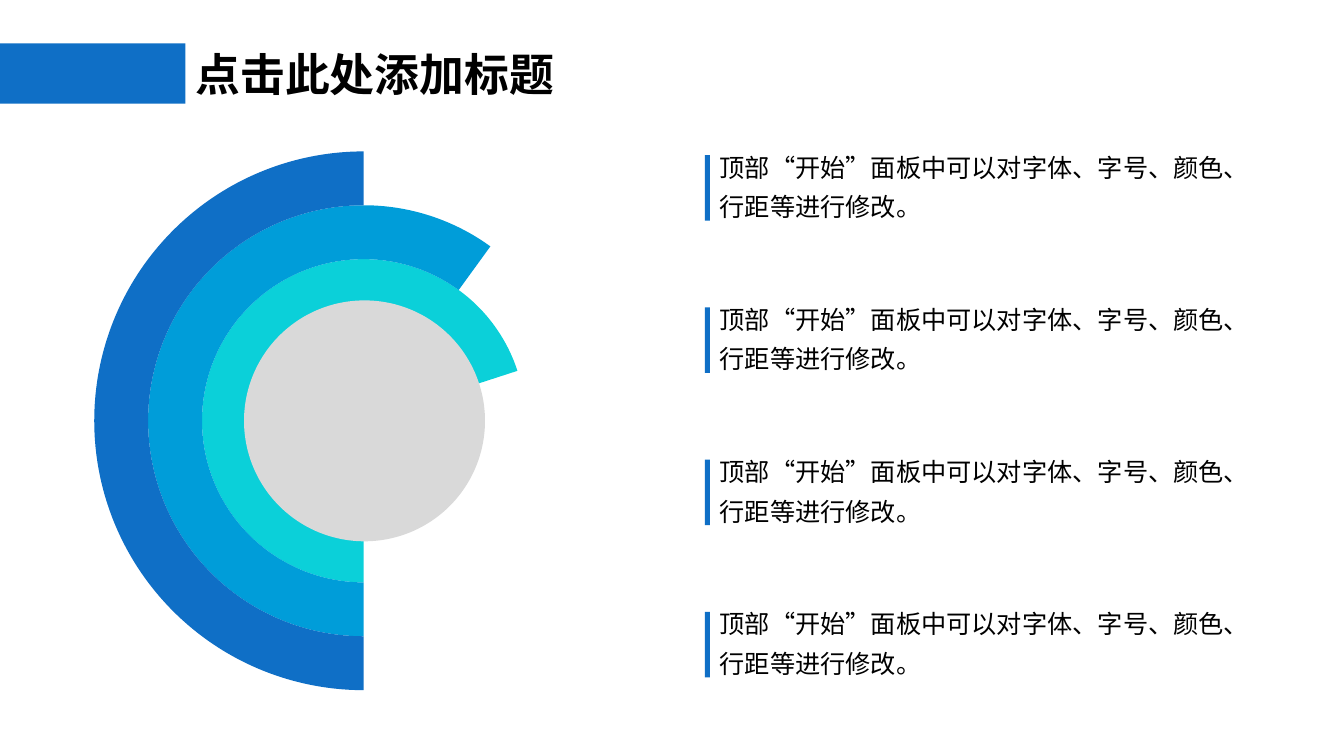
from dataclasses import dataclass

from lxml import etree
from pptx import Presentation
from pptx import util as u
from pptx.chart import data as cd
from pptx.dml.color import RGBColor
from pptx.enum import chart as ch
from pptx.enum import shapes, text
from pptx.oxml import ns

PX = 9144  # EMU in one px, 100 px to the inch
FONT = "Noto Sans CJK SC"
BLUE = RGBColor(0x0F, 0x6F, 0xC6)
SKY = RGBColor(0x00, 0x9D, 0xD9)
CYAN = RGBColor(0x0B, 0xD0, 0xD9)
GREEN = RGBColor(0x10, 0xCF, 0x9B)
GREY = RGBColor(0xD9, 0xD9, 0xD9)
BLACK = RGBColor(0, 0, 0)


@dataclass
class Box:
    x: int
    y: int
    w: int
    h: int

    def emu(self) -> list[u.Emu]:
        return [u.Emu(n * PX) for n in (self.x, self.y, self.w, self.h)]


@dataclass
class Ring:
    name: str
    share: int
    color: RGBColor


RINGS = [
    Ring("Series 1", 80, GREEN),
    Ring("Series 2", 70, CYAN),
    Ring("Series 3", 60, SKY),
    Ring("Series 4", 50, BLUE),
]
TITLE = "点击此处添加标题"
NOTE = ["顶部“开始”面板中可以对字体、字号、颜色、", "行距等进行修改。"]
NOTES, TOP, STEP = 4, 137, 151


def set_font(font, size: int, bold: bool = False) -> None:
    font.size, font.bold, font.name = u.Pt(size), bold, FONT
    font.color.rgb = BLACK


def add_solid(slide, kind, box: Box, color: RGBColor) -> None:
    shape = slide.shapes.add_shape(kind, *box.emu())
    shape.shadow.inherit = False
    shape.fill.solid()
    shape.fill.fore_color.rgb = color
    shape.line.fill.background()


def add_text(slide, box: Box, lines: list[str], size: int, bold: bool = False,
             wrap: bool = True, gap: float = 1.0) -> None:
    frame = slide.shapes.add_textbox(*box.emu()).text_frame
    frame.word_wrap = wrap
    frame.auto_size = text.MSO_AUTO_SIZE.SHAPE_TO_FIT_TEXT
    frame.text = "\n".join(lines)
    for para in frame.paragraphs:
        para.line_spacing = gap
        set_font(para.font, size, bold)
        # East Asian glyphs take the same typeface
        for run in para.runs:
            props = run.font._element
            etree.SubElement(props, ns.qn("a:ea"), typeface=FONT)


def add_rings(slide, box: Box) -> None:
    data = cd.CategoryChartData()
    data.categories = ["1", "2"]
    for ring in RINGS:
        data.add_series(ring.name, (ring.share, 100 - ring.share))
    kind = ch.XL_CHART_TYPE.DOUGHNUT
    chart = slide.shapes.add_chart(kind, *box.emu(), data).chart
    chart.has_legend = chart.has_title = False
    set_font(chart.font, 10)
    plot = chart.plots[0]
    plot.vary_by_categories = True
    for ring, series in zip(RINGS, plot.series):
        shown, rest = (series.points[i].format for i in range(2))
        shown.fill.solid()
        shown.fill.fore_color.rgb = ring.color
        rest.fill.background()
        for part in (shown, rest):
            part.line.fill.background()

    # Start angle, hole and plot area position
    area = chart._chartSpace.find(".//" + ns.qn("c:plotArea"))
    for tag, val in (("c:firstSliceAng", 180), ("c:holeSize", 49)):
        area.find(".//" + ns.qn(tag)).set("val", str(val))
    layout = area.find(ns.qn("c:layout"))
    if layout is None:
        layout = etree.Element(ns.qn("c:layout"))
        area.insert(0, layout)
    manual = etree.SubElement(layout, ns.qn("c:manualLayout"))
    for tag, val in (("layoutTarget", "inner"), ("xMode", "edge"),
                     ("yMode", "edge"), ("x", 0.063), ("y", 0.043),
                     ("w", 0.875), ("h", 0.957)):
        etree.SubElement(manual, ns.qn("c:" + tag), val=str(val))


def main() -> None:
    deck = Presentation()
    deck.slide_width, deck.slide_height = u.Inches(13.33), u.Inches(7.5)
    slide = deck.slides.add_slide(deck.slide_layouts[6])
    rect = shapes.MSO_SHAPE.RECTANGLE

    # Title with its bar
    add_text(slide, Box(184, 41, 379, 64), [TITLE], 32, bold=True, wrap=False)
    add_solid(slide, rect, Box(0, 43, 184, 60), BLUE)

    # Rings
    add_rings(slide, Box(55, 126, 611, 559))

    # Notes, each with a thin bar
    for i in range(NOTES):
        y = TOP + i * STEP
        add_solid(slide, rect, Box(699, y + 17, 5, 65), BLUE)
        add_text(slide, Box(704, y, 667, 89), NOTE, 18, gap=1.3)

    # Disc over the centre of the rings
    add_solid(slide, shapes.MSO_SHAPE.OVAL, Box(242, 298, 239, 239), GREY)
    deck.save("out.pptx")


if __name__ == "__main__":
    main()
